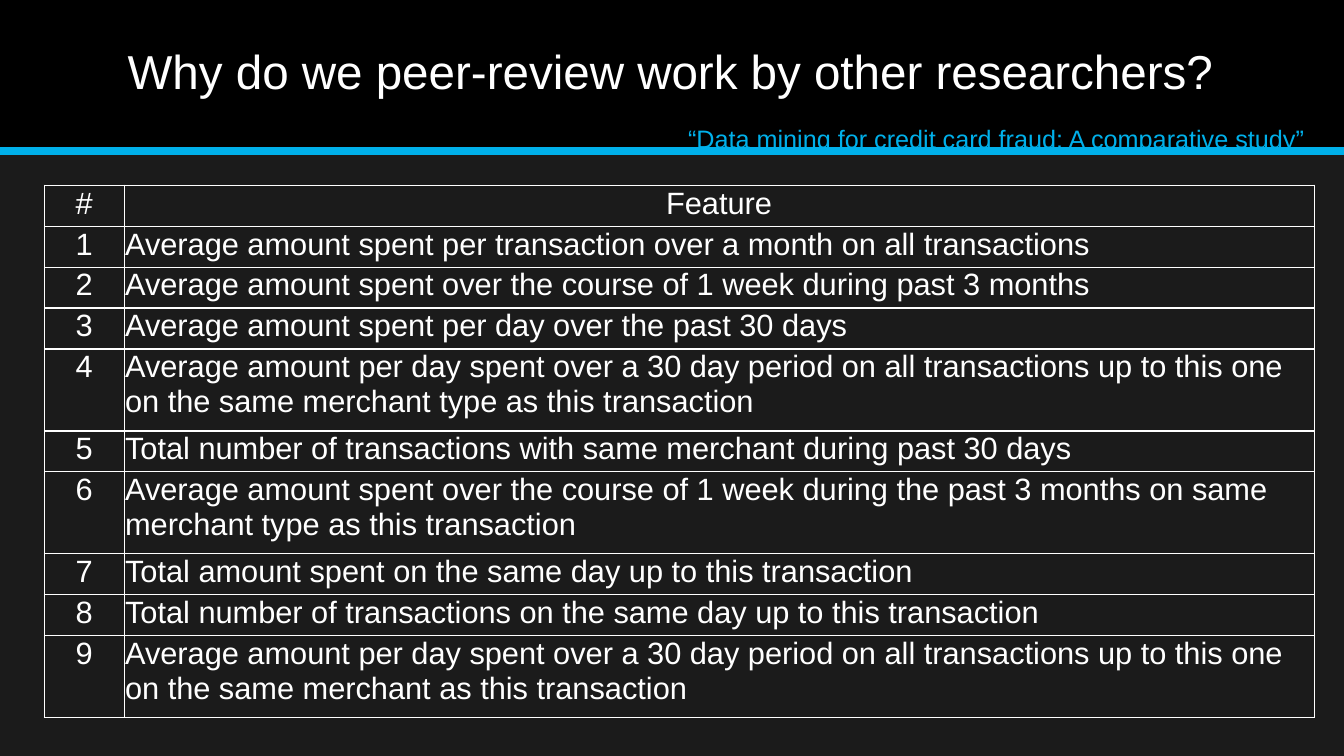
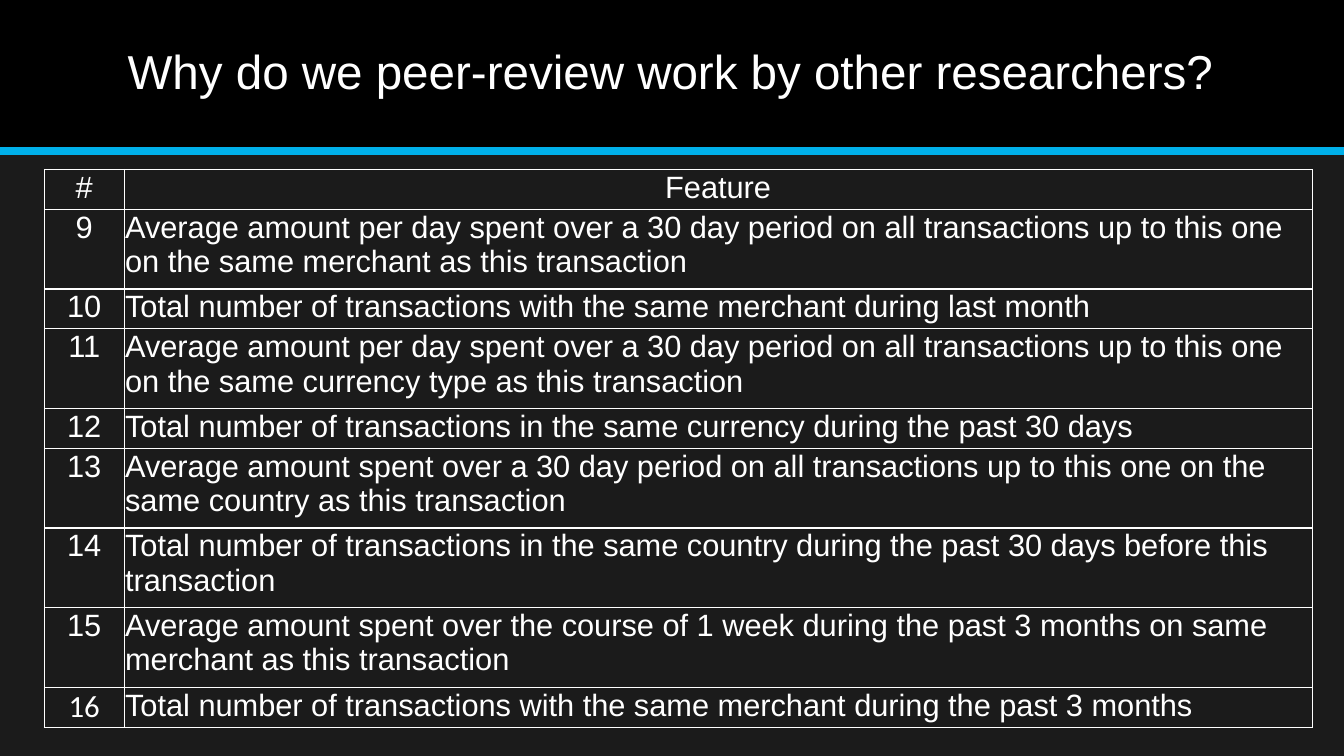
from lxml import etree
from pptx import Presentation
from pptx.dml.color import RGBColor
from pptx.enum import shapes, text
from pptx.oxml import ns
from pptx.util import Pt

WIDTH, HEIGHT = 960, 540
BAND_HEIGHT = 108
WHITE, BLACK, CHARCOAL, BLUE = "FFFFFF", "000000", "1B1B1B", "00B0EA"
LEFT, NUMBER_WIDTH = 31.7, 57
TITLE = "Why do we peer-review work by other researchers?"
CITATION = "“Data mining for credit card fraud: A comparative study”"
LONGEST_LINE = 80  # characters that fit on one line of the feature column

MERCHANT_AVERAGE = (
    "Average amount per day spent over a 30 day period on all transactions "
    "up to this one on the same merchant as this transaction")
FIRST_FEATURES = [
    "Average amount spent per transaction over a month on all transactions",
    "Average amount spent over the course of 1 week during past 3 months",
    "Average amount spent per day over the past 30 days",
    "Average amount per day spent over a 30 day period on all transactions "
    "up to this one on the same merchant type as this transaction",
    "Total number of transactions with same merchant during past 30 days",
    "Average amount spent over the course of 1 week during the past 3 months "
    "on same merchant type as this transaction",
    "Total amount spent on the same day up to this transaction",
    "Total number of transactions on the same day up to this transaction",
    MERCHANT_AVERAGE,
]
LATER_FEATURES = [
    MERCHANT_AVERAGE,
    "Total number of transactions with the same merchant during last month",
    "Average amount per day spent over a 30 day period on all transactions "
    "up to this one on the same currency type as this transaction",
    "Total number of transactions in the same currency during the past 30 days",
    "Average amount spent over a 30 day period on all transactions "
    "up to this one on the same country as this transaction",
    "Total number of transactions in the same country during the past 30 days "
    "before this transaction",
    "Average amount spent over the course of 1 week during the past 3 months "
    "on same merchant as this transaction",
    "Total number of transactions with the same merchant during the past 3 months",
]


def color(value):
    return RGBColor.from_string(value)


def points(*values):
    return [Pt(value) for value in values]


def write(para, words, size, ink=WHITE, font="Arial", align=text.PP_ALIGN.LEFT):
    para.alignment = align
    span = para.add_run()
    span.text = words
    span.font.size = Pt(size)
    span.font.name = font
    span.font.color.rgb = color(ink)
    return span


def style_master(deck, page):
    """Draw the background, band and rule, and hand them to the slide master."""
    fill = deck.slide_master.background.fill
    fill.solid()
    fill.fore_color.rgb = color(CHARCOAL)

    band = page.shapes.add_shape(
        shapes.MSO_SHAPE.RECTANGLE, *points(0, 0, WIDTH, BAND_HEIGHT))
    band.shadow.inherit = False
    band.fill.solid()
    band.fill.fore_color.rgb = color(BLACK)
    band.line.fill.background()

    rule = page.shapes.add_connector(
        shapes.MSO_CONNECTOR.STRAIGHT, *points(0, BAND_HEIGHT, WIDTH, BAND_HEIGHT))
    rule.line.color.rgb = color(BLUE)
    rule.line.width = Pt(6)
    etree.SubElement(rule._element.spPr, ns.qn("a:effectLst"))

    tree = deck.slide_master.shapes._spTree
    for place, part in enumerate((band, rule)):
        part._element.xpath(".//p:cNvPr")[0].set("id", str(100 + place))
        tree.insert(2 + place, part._element)


def place_title(page, left, top, width, height):
    title = page.shapes.title
    title.left, title.top, title.width, title.height = points(left, top, width, height)
    frame = title.text_frame
    frame.word_wrap = True
    frame.auto_size = text.MSO_AUTO_SIZE.NONE
    frame.vertical_anchor = text.MSO_ANCHOR.MIDDLE
    para = frame.paragraphs[0]
    para.line_spacing = 0.9
    write(para, TITLE, 34)


def place_citation(page, left, top, width, height):
    box = page.shapes.add_textbox(*points(left, top, width, height))
    frame = box.text_frame
    frame.word_wrap = True
    frame.auto_size = text.MSO_AUTO_SIZE.SHAPE_TO_FIT_TEXT
    span = write(frame.paragraphs[0], CITATION, 18, BLUE, align=text.PP_ALIGN.RIGHT)
    span.font.underline = True


def format_cell(cell):
    cell.margin_left = cell.margin_right = cell.margin_top = Pt(0.7)
    cell.margin_bottom = 0
    properties = cell._tc.get_or_add_tcPr()
    for side in ("lnL", "lnR", "lnT", "lnB"):
        border = etree.SubElement(properties, ns.qn("a:" + side), w=str(Pt(1)))
        paint = etree.SubElement(border, ns.qn("a:solidFill"))
        etree.SubElement(paint, ns.qn("a:srgbClr"), val=WHITE)
    cell.fill.background()


def place_features(page, features, start, left, top, width, height, last_font="Arial"):
    """Number the features from start; a wrapped feature gets a double row."""
    rows = [("#", "Feature")]
    rows += [(str(number), words) for number, words in enumerate(features, start)]
    units = [2 if len(words) > LONGEST_LINE else 1 for _, words in rows]
    table = page.shapes.add_table(
        len(rows), 2, *points(left, top, width, height)).table
    table.first_row = table.horz_banding = False
    table.columns[0].width = Pt(NUMBER_WIDTH)
    table.columns[1].width = Pt(width - NUMBER_WIDTH)

    for row, entry in enumerate(rows):
        table.rows[row].height = Pt(height * units[row] / sum(units))
        for column, words in enumerate(entry):
            cell = table.cell(row, column)
            format_cell(cell)
            centred = row == 0 or column == 0
            is_last_number = row == len(rows) - 1 and column == 0
            write(cell.text_frame.paragraphs[0], words, 22,
                  font=last_font if is_last_number else "Arial",
                  align=text.PP_ALIGN.CENTER if centred else text.PP_ALIGN.LEFT)


def add_page(deck):
    page = deck.slides.add_slide(deck.slide_layouts.get_by_name("Title Only"))
    place_title(page, 84, 10, 792, 86.4)
    return page


def main():
    deck = Presentation()
    deck.slide_width, deck.slide_height = points(WIDTH, HEIGHT)

    page = add_page(deck)
    style_master(deck, page)
    place_features(page, FIRST_FEATURES, 1, LEFT, 132.3, 907, 380.4)
    place_citation(page, LEFT, 84.2, 907, 29)

    page = add_page(deck)
    place_features(page, LATER_FEATURES, 9, LEFT, 121, 905.6, 398.6,
                   last_font="Calibri")

    deck.save("out.pptx")


if __name__ == "__main__":
    main()
